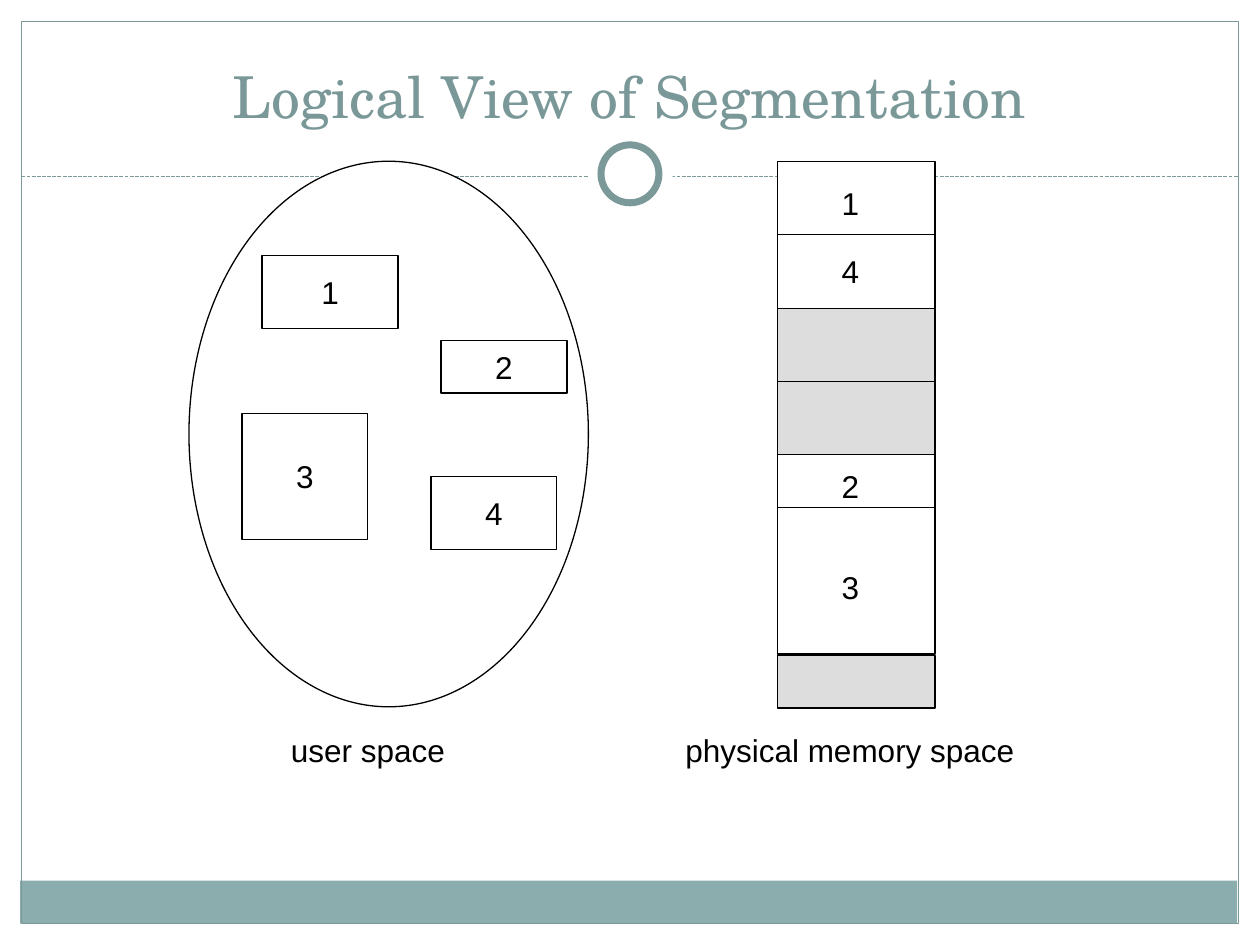
from pptx import Presentation
from pptx.dml.color import RGBColor
from pptx.enum.dml import MSO_LINE
from pptx.enum.shapes import MSO_CONNECTOR, MSO_SHAPE
from pptx.enum.text import MSO_ANCHOR, PP_ALIGN
from pptx.oxml.ns import qn
from pptx.util import Inches, Pt
from lxml.etree import SubElement

WHITE, BLACK, GRAY = "FFFFFF", "000000", "DDDDDD"
TEAL, BAND, TITLE = "7C999A", "8CADAE", "7B9899"
RECT, OVAL = MSO_SHAPE.RECTANGLE, MSO_SHAPE.OVAL

FRAME = [
    (RECT, (0, 0, 10, 1.52), WHITE, None, 0),
    (RECT, (0, 0, 0.17, 7.5), WHITE, None, 0),
    (RECT, (9.83, 0, 0.17, 7.5), WHITE, None, 0),
    (RECT, (0.16, 6.99, 9.66, 0.34), BAND, None, 0),
    (RECT, (0.17, 0.17, 9.66, 7.16), None, TEAL, 0.75),
]
RING = [
    (OVAL, (4.67, 1.05, 0.67, 0.67), WHITE, None, 0),
    (OVAL, (4.77, 1.15, 0.46, 0.46), WHITE, TEAL, 4),
]
SEGMENTS = [
    ("1", (2.08, 2.03, 1.08, 0.58)),
    ("3", (1.92, 3.28, 1, 1)),
    ("2", (3.5, 2.7, 1, 0.42)),
    ("4", (3.42, 3.78, 1, 0.58)),
]
MEM_LEFT, MEM_WIDTH = 6.17, 1.25
MEMORY = [
    (1.28, 1.17, WHITE, 1.86),
    (2.45, 1.17, GRAY, 3.03),
    (3.61, 1.58, WHITE, 4.03),
    (5.2, 0.42, GRAY, None),
]
LABELS = [
    ("1", (6.58, 1.41, 0.34, 0.4)),
    ("4", (6.58, 1.95, 0.34, 0.4)),
    ("2", (6.58, 3.66, 0.34, 0.4)),
    ("3", (6.58, 4.46, 0.34, 0.4)),
    ("user space ", (2.21, 5.75, 1.49, 0.4)),
    ("physical memory space", (5.34, 5.75, 2.81, 0.4)),
]

prs = Presentation()
prs.slide_width, prs.slide_height = Inches(10), Inches(7.5)
s = prs.slides.add_slide(prs.slide_layouts[6])


def rgb(value):
    return RGBColor.from_string(value)


def add_shape(kind, box, fill, line=BLACK, width=0.75):
    sp = s.shapes.add_shape(kind, *map(Inches, box))
    sp.shadow.inherit = False
    if fill:
        sp.fill.solid()
        sp.fill.fore_color.rgb = rgb(fill)
    else:
        sp.fill.background()
    if line:
        sp.line.color.rgb = rgb(line)
        sp.line.width = Pt(width)
    else:
        sp.line.fill.background()
    return sp


def add_line(left, right, y, color=BLACK):
    c = s.shapes.add_connector(MSO_CONNECTOR.STRAIGHT, *map(Inches, (left, y, right, y)))
    c.line.color.rgb = rgb(color)
    c.line.width = Pt(0.75)
    SubElement(c._element.spPr, qn("a:effectLst"))
    return c


def set_text(sp, text, size=18, font="Arial", color=BLACK, anchor=MSO_ANCHOR.MIDDLE, wrap=False):
    tf = sp.text_frame
    tf.text = text
    tf.word_wrap = wrap
    tf.vertical_anchor = anchor
    p = tf.paragraphs[0]
    p.alignment = PP_ALIGN.CENTER
    f = p.runs[0].font
    f.size, f.name, f.color.rgb = Pt(size), font, rgb(color)


def add_text(text, box, **style):
    set_text(s.shapes.add_textbox(*map(Inches, box)), text, **style)


for item in FRAME:
    add_shape(*item)
add_line(0.17, 9.83, 1.4, TEAL).line.dash_style = MSO_LINE.SQUARE_DOT
for item in RING:
    add_shape(*item)
add_text("Logical View of Segmentation", (0.33, 0.25, 9.33, 0.83), size=33,
         font="TeX Gyre Schola", color=TITLE, anchor=MSO_ANCHOR.BOTTOM, wrap=True)

add_shape(OVAL, (1.5, 1.28, 3.17, 4.33), WHITE)
for name, box in SEGMENTS:
    set_text(add_shape(RECT, box, WHITE), name)

for top, height, fill, divider in MEMORY:
    add_shape(RECT, (MEM_LEFT, top, MEM_WIDTH, height), fill)
    if divider:
        add_line(MEM_LEFT, MEM_LEFT + MEM_WIDTH, divider)
for text, box in LABELS:
    add_text(text, box)

prs.save("out.pptx")
